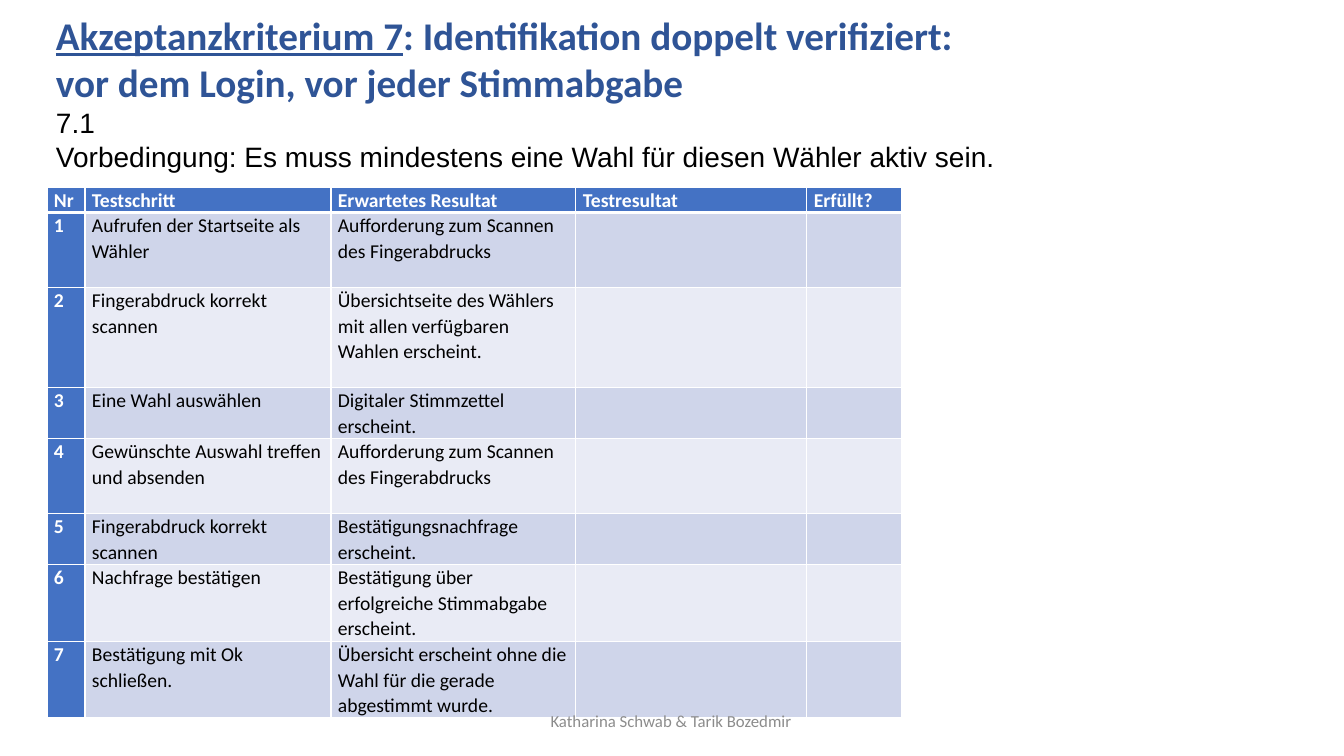
from lxml.etree import SubElement
from pptx import Presentation
from pptx.dml.color import RGBColor
from pptx.enum.text import MSO_ANCHOR as Anchor, PP_ALIGN as Align
from pptx.oxml.ns import qn
from pptx.util import Emu, Pt

COLORS = {
    "heading": "2F5496",
    "accent": "4472C4",
    "odd": "CFD5EA",
    "even": "E9EBF5",
    "white": "FFFFFF",
    "black": "000000",
    "footer": "8C8C8C",
}
HEADERS = ["Nr", "Testschritt", "Erwartetes Resultat", "Testresultat", "Erfüllt?"]
STEPS = [
    ("Aufrufen der Startseite als Wähler", "Aufforderung zum Scannen des Fingerabdrucks"),
    ("Fingerabdruck korrekt scannen", "Übersichtseite des Wählers mit allen verfügbaren Wahlen erscheint."),
    ("Eine Wahl auswählen", "Digitaler Stimmzettel erscheint."),
    ("Gewünschte Auswahl treffen und absenden", "Aufforderung zum Scannen des Fingerabdrucks"),
    ("Fingerabdruck korrekt scannen", "Bestätigungsnachfrage erscheint."),
    ("Nachfrage bestätigen", "Bestätigung über erfolgreiche Stimmabgabe erscheint."),
    ("Bestätigung mit Ok schließen.", "Übersicht erscheint ohne die Wahl für die gerade abgestimmt wurde."),
]
COLUMN_WIDTHS = [38, 246, 245, 231, 95]
ROW_HEIGHTS = [24, 75, 100, 50, 75, 50, 75, 75]


def px(count):
    return Emu(round(count * 914400 / 100.8))


def color(name):
    return RGBColor.from_string(COLORS[name])


class TestSlide:
    def __init__(self, deck):
        self.slide = deck.slides.add_slide(deck.slide_layouts[5])

    def run(self, paragraph, text, size, tint, font="Calibri", bold=False, underline=False):
        run = paragraph.add_run()
        run.text = text
        run.font.size = Pt(size)
        run.font.name = font
        run.font.bold = bold
        run.font.underline = underline
        run.font.color.rgb = color(tint)

    def place(self, shape, left, top, width, height):
        shape.left, shape.top, shape.width, shape.height = map(px, (left, top, width, height))

    def title(self, box, criterion, heading_lines, details):
        heading = self.slide.shapes.title
        self.place(heading, *box)
        frame = heading.text_frame
        frame.word_wrap = True
        frame.vertical_anchor = Anchor.MIDDLE
        frame.margin_left = frame.margin_right = px(10)
        frame.margin_top, frame.margin_bottom = px(3), 0
        first = frame.paragraphs[0]
        first.alignment = Align.LEFT
        self.run(first, criterion, 28, "heading", bold=True, underline=True)
        for index, line in enumerate(heading_lines):
            if index:
                first.add_line_break()
            self.run(first, line, 28, "heading", bold=True)
        for detail in details:
            paragraph = frame.add_paragraph()
            paragraph.alignment = Align.LEFT
            self.run(paragraph, detail, 20, "black", font="Arial")

    def footer(self, box, text):
        frame = self.slide.shapes.add_textbox(*map(px, box)).text_frame
        frame.word_wrap = True
        frame.vertical_anchor = Anchor.MIDDLE
        frame.paragraphs[0].alignment = Align.CENTER
        self.run(frame.paragraphs[0], text, 12, "footer")

    def borders(self, cell, top, bottom):
        properties = cell._tc.get_or_add_tcPr()
        for side, width in (("L", 1), ("R", 1), ("T", top), ("B", bottom)):
            line = SubElement(properties, qn(f"a:ln{side}"), w=str(Pt(width)))
            fill = SubElement(line, qn("a:solidFill"))
            SubElement(fill, qn("a:srgbClr"), val=COLORS["white"])

    def cell(self, cell, text, row, column):
        strong = row == 0 or column == 0
        self.borders(cell, 3 if row == 1 else 1, 3 if row == 0 else 1)
        cell.fill.solid()
        cell.fill.fore_color.rgb = color("accent" if strong else "odd" if row % 2 else "even")
        cell.margin_left = cell.margin_right = px(7)
        cell.margin_top = cell.margin_bottom = 0
        if text:
            paragraph = cell.text_frame.paragraphs[0]
            paragraph.line_spacing = 1.07
            self.run(paragraph, text, 14, "white" if strong else "black", bold=strong)

    def table(self, left, top, rows):
        size = sum(COLUMN_WIDTHS), sum(ROW_HEIGHTS)
        frame = self.slide.shapes.add_table(
            len(rows), len(COLUMN_WIDTHS), *map(px, (left, top, *size)))
        table = frame.table
        table.first_col = True
        for column, width in zip(table.columns, COLUMN_WIDTHS):
            column.width = px(width)
        for row, height in zip(table.rows, ROW_HEIGHTS):
            row.height = px(height)
        for r, texts in enumerate(rows):
            for c, text in enumerate(texts):
                self.cell(table.cell(r, c), text, r, c)


def main():
    deck = Presentation()
    deck.slide_width, deck.slide_height = px(1344), px(756)
    page = TestSlide(deck)
    steps = [(str(n), step, result, "", "") for n, (step, result) in enumerate(STEPS, 1)]
    page.table(47, 187, [HEADERS, *steps])
    page.title(
        (46, 8, 967, 165),
        "Akzeptanzkriterium 7",
        [": Identifikation doppelt verifiziert: ", "vor dem Login, vor jeder Stimmabgabe"],
        ["7.1", "Vorbedingung: Es muss mindestens eine Wahl für diesen Wähler aktiv sein."],
    )
    page.footer((446, 701, 454, 40), "Katharina Schwab & Tarik Bozedmir ")
    deck.save("out.pptx")


if __name__ == "__main__":
    main()
